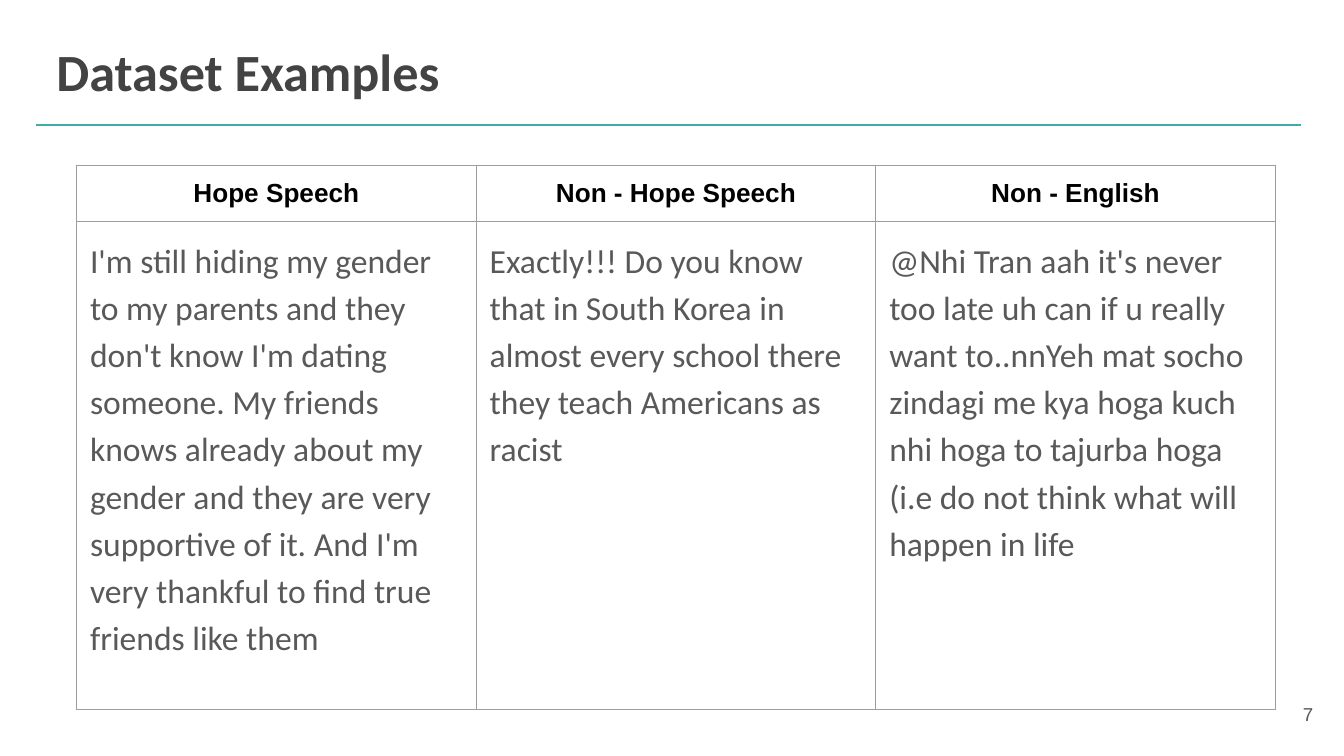
from lxml.etree import SubElement
from pptx import Presentation
from pptx.dml.color import RGBColor
from pptx.enum.shapes import MSO_CONNECTOR
from pptx.enum.text import MSO_ANCHOR as Anchor, MSO_AUTO_SIZE as AutoSize, PP_ALIGN as Align
from pptx.oxml.ns import qn
from pptx.util import Inches, Pt

# Content
TITLE = "Dataset Examples"
PAGE = "7"
EXAMPLES = {
    "Hope Speech": "I'm still hiding my gender to my parents and they don't know I'm dating "
                   "someone. My friends knows already about my gender and they are very "
                   "supportive of it. And I'm very thankful to find true friends like them",
    "Non - Hope Speech": "Exactly!!! Do you know that in South Korea in almost every school "
                         "there they teach Americans as racist",
    "Non - English": "@Nhi Tran aah it's never too late uh can if u really want to..nnYeh mat "
                     "socho zindagi me kya hoga kuch nhi hoga to tajurba hoga (i.e do not "
                     "think what will happen in life",
}

# Layout in inches, on a 16:9 slide
WIDTH = 10
HEIGHT = WIDTH * 9 / 16
RULE_LEFT, RULE_RIGHT, RULE_Y = 0.27, 9.68, 0.93
GRID_LEFT, GRID_RIGHT, GRID_TOP = 0.57, 9.49, 1.23
COLUMN_WIDTH = (GRID_RIGHT - GRID_LEFT) / len(EXAMPLES)
ROW_HEIGHTS = (0.42, 3.63)
INSET = 0.1


def color(hex_value):
    return RGBColor.from_string(hex_value)


def style(paragraph, size, face, hex_value, bold=False, align=Align.LEFT):
    paragraph.alignment = align
    font = paragraph.font
    font.size, font.name, font.bold = Pt(size), face, bold
    font.color.rgb = color(hex_value)


def set_insets(holder):
    holder.margin_left = holder.margin_right = Inches(INSET)
    holder.margin_top = holder.margin_bottom = Inches(INSET)


def set_borders(cell, hex_value, points):
    properties = cell._tc.get_or_add_tcPr()
    for position, side in enumerate(("lnL", "lnR", "lnT", "lnB")):
        border = SubElement(properties, qn(f"a:{side}"), w=str(Pt(points)))
        fill = SubElement(border, qn("a:solidFill"))
        SubElement(fill, qn("a:srgbClr"), val=hex_value)
        properties.insert(position, border)


def fill_cell(cell, words):
    cell.text = words
    cell.fill.background()
    set_insets(cell)
    set_borders(cell, "9E9E9E", 0.75)
    return cell.text_frame.paragraphs[0]


deck = Presentation()
deck.slide_width, deck.slide_height = Inches(WIDTH), Inches(HEIGHT)
slide = deck.slides.add_slide(deck.slide_layouts[5])
shapes = slide.shapes

# Rule under the title
rule = shapes.add_connector(MSO_CONNECTOR.STRAIGHT, Inches(RULE_LEFT), Inches(RULE_Y),
                            Inches(RULE_RIGHT), Inches(RULE_Y))
rule.line.color.rgb = color("3EADA7")
rule.line.width = Pt(0.75)
SubElement(rule._element.spPr, qn("a:effectLst"))

# Title
title = shapes.title
title.left, title.top = Inches(0.32), Inches(0.19)
title.width, title.height = Inches(9.32), Inches(0.63)
title.text = TITLE
title_frame = title.text_frame
title_frame.vertical_anchor = Anchor.TOP
title_frame.auto_size = AutoSize.NONE
set_insets(title_frame)
style(title_frame.paragraphs[0], 28, "Calibri", "434343", bold=True)

# Table of examples, one class per column
table = shapes.add_table(len(ROW_HEIGHTS), len(EXAMPLES), Inches(GRID_LEFT), Inches(GRID_TOP),
                         Inches(GRID_RIGHT - GRID_LEFT), Inches(sum(ROW_HEIGHTS))).table
table.first_row = table.horz_banding = False
for row, height in zip(table.rows, ROW_HEIGHTS):
    row.height = Inches(height)
for index, (label, example) in enumerate(EXAMPLES.items()):
    table.columns[index].width = Inches(COLUMN_WIDTH)
    heading = fill_cell(table.cell(0, index), label)
    style(heading, 14, "Arial", "000000", bold=True, align=Align.CENTER)
    body = fill_cell(table.cell(1, index), example)
    style(body, 18, "Calibri", "595959")
    body.line_spacing = 1.15
    body.space_after = Pt(16)

# Page number
page_frame = shapes.add_textbox(Inches(9.27), Inches(5.1), Inches(0.6), Inches(0.43)).text_frame
page_frame.word_wrap = True
page_frame.vertical_anchor = Anchor.MIDDLE
page_frame.text = PAGE
set_insets(page_frame)
style(page_frame.paragraphs[0], 10, "Arial", "595959", align=Align.RIGHT)

deck.save("out.pptx")
